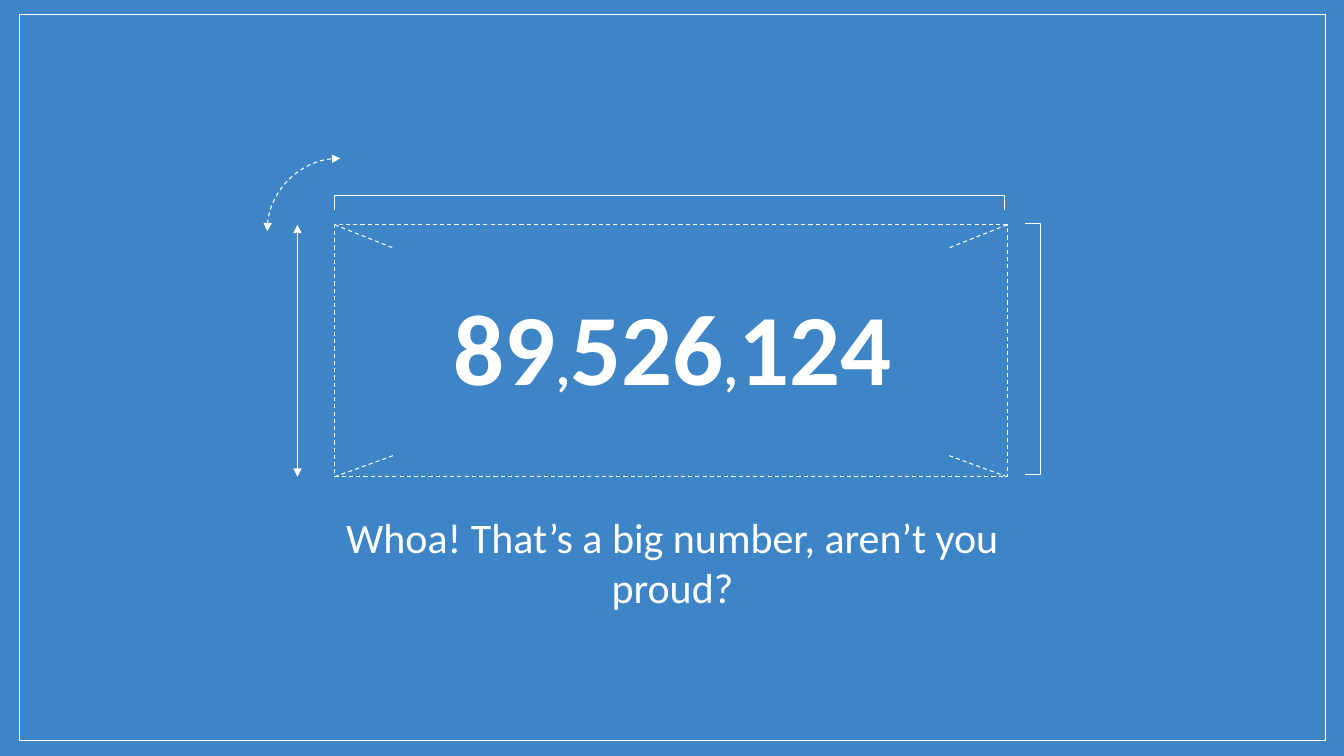
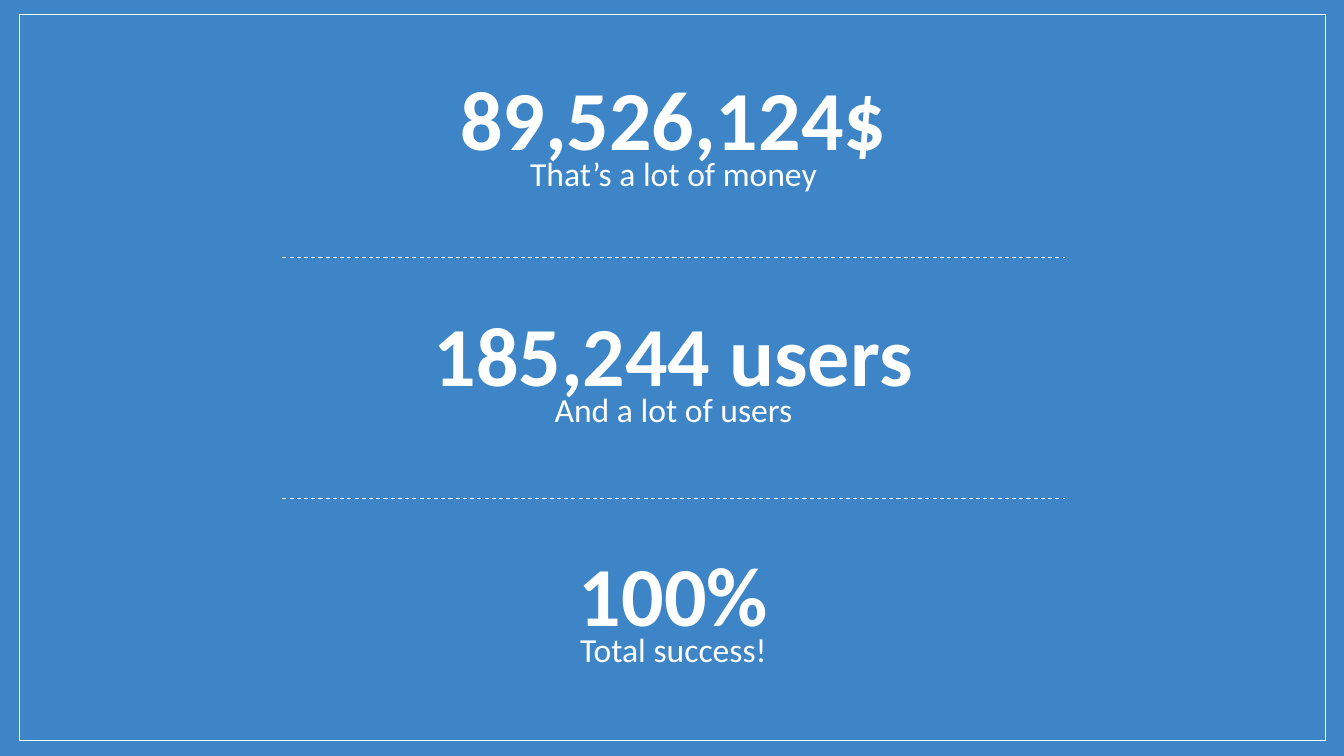
"""Build two big-number slides on a framed blue background."""
import dataclasses
import itertools
import typing

import lxml.etree
import pptx
import pptx.dml.color
import pptx.enum.dml
import pptx.enum.shapes
import pptx.enum.text
import pptx.oxml.ns
import pptx.slide
import pptx.util

Inches = pptx.util.Inches
SHAPE = pptx.enum.shapes.MSO_SHAPE
DASH = {"dash_style": pptx.enum.dml.MSO_LINE.DASH}
SOLID: dict = {}
BLUE, WHITE = "3D85C6", "FFFFFF"
FONT = "Calibri"
Point = tuple[float, float]


@dataclasses.dataclass(frozen=True)
class Box:
    """A rectangle in inches."""
    left: float
    top: float
    width: float
    height: float

    @property
    def right(self) -> float:
        return self.left + self.width

    @property
    def bottom(self) -> float:
        return self.top + self.height

    def lengths(self) -> list[pptx.util.Length]:
        return [Inches(v) for v in (self.left, self.top, self.width, self.height)]


class Run(typing.NamedTuple):
    """A piece of text with its size in points."""
    text: str
    size: float


class Stat(typing.NamedTuple):
    """A large figure, its caption and the top of the pair."""
    figure: str
    caption: str
    top: float


FRAME = Box(0.19, 0.14, 12.96, 7.21)
PANEL = Box(3.32, 2.23, 6.67, 2.5)
STATS = [
    Stat("89,526,124$", "That’s a lot of money", 0.56),
    Stat("185,244 users", "And a lot of users", 2.9),
    Stat("100%", "Total success!", 5.28),
]
STAT_LEFT, STAT_WIDTH = 2.8, 7.76
DIVIDERS = [2.55, 4.95]


def rgb(value: str) -> pptx.dml.color.RGBColor:
    """Turn a hex string into a colour."""
    return pptx.dml.color.RGBColor.from_string(value)


def apply(target: typing.Any, values: dict) -> None:
    """Set each named attribute on the target."""
    for name, value in values.items():
        setattr(target, name, value)


def style_line(line: typing.Any, dash: dict, arrows: bool = False) -> None:
    """Give a line its colour, width, dash and arrowheads."""
    line.fill.solid()
    line.fill.fore_color.rgb = rgb(WHITE)
    apply(line, {"width": pptx.util.Pt(0.75), **dash})
    if arrows:
        ln = line._get_or_add_ln()
        for tag in ("a:headEnd", "a:tailEnd"):
            lxml.etree.SubElement(ln, pptx.oxml.ns.qn(tag), type="triangle")


def style_outline(sp: typing.Any, dash: dict, arrows: bool = False) -> None:
    """Leave a shape with only its outline."""
    sp.shadow.inherit = False
    sp.fill.background()
    style_line(sp.line, dash, arrows)


def add_outline(s: pptx.slide.Slide, kind: SHAPE, box: Box, dash: dict,
                rotation: float = 0, arrows: bool = False) -> None:
    """Draw an unfilled preset shape."""
    sp = s.shapes.add_shape(kind, *box.lengths())
    sp.rotation = rotation
    style_outline(sp, dash, arrows)


def add_bracket(s: pptx.slide.Slide, points: list[Point]) -> None:
    """Draw an open outline through the points."""
    start, *rest = [(Inches(x), Inches(y)) for x, y in points]
    builder = s.shapes.build_freeform(*start)
    builder.add_line_segments(rest, close=False)
    style_outline(builder.convert_to_shape(), SOLID)


def add_line(s: pptx.slide.Slide, start: Point, end: Point, dash: dict,
             arrows: bool = False) -> None:
    """Draw a straight line without a shadow."""
    sp = s.shapes.add_connector(pptx.enum.shapes.MSO_CONNECTOR.STRAIGHT,
                                *[Inches(v) for v in start + end])
    style_line(sp.line, dash, arrows)
    lxml.etree.SubElement(sp._element.spPr, pptx.oxml.ns.qn("a:effectLst"))


def add_text(s: pptx.slide.Slide, box: Box, runs: list[Run], bold: bool = False) -> None:
    """Write one centred paragraph."""
    tf = s.shapes.add_textbox(*box.lengths()).text_frame
    sides = ("left", "top", "right", "bottom")
    apply(tf, {"word_wrap": True, "vertical_anchor": pptx.enum.text.MSO_ANCHOR.TOP,
               **{f"margin_{side}": Inches(0.1) for side in sides}})
    p = tf.paragraphs[0]
    p.alignment = pptx.enum.text.PP_ALIGN.CENTER
    for run in runs:
        r = p.add_run()
        r.text = run.text
        apply(r.font, {"name": FONT, "size": pptx.util.Pt(run.size), "bold": bold})
        r.font.color.rgb = rgb(WHITE)


def add_slide(prs: typing.Any) -> pptx.slide.Slide:
    """Add a blank slide with the blue background and the frame."""
    s = prs.slides.add_slide(prs.slide_layouts[6])
    s.background.fill.solid()
    s.background.fill.fore_color.rgb = rgb(BLUE)
    add_outline(s, SHAPE.RECTANGLE, FRAME, SOLID)
    return s


def build_big_number(prs: typing.Any) -> None:
    """Show one number inside a measured panel."""
    s = add_slide(prs)
    add_text(s, Box(3.21, 4.97, 6.92, 1.14),
             [Run("Whoa! That’s a big number, aren’t you proud?", 30)])
    add_outline(s, SHAPE.RECTANGLE, PANEL, DASH)
    add_bracket(s, [(10.17, 2.22), (10.32, 2.22), (10.32, 4.71), (10.17, 4.71)])
    add_bracket(s, [(3.32, 2.08), (3.32, 1.94), (9.96, 1.94), (9.96, 2.08)])
    add_outline(s, SHAPE.ARC, Box(2.65, 1.57, 1.45, 1.45), DASH, 270, True)
    add_line(s, (2.95, PANEL.top), (2.95, PANEL.bottom), SOLID, True)
    columns = [(PANEL.left, 0.58), (PANEL.right, -0.58)]
    rows = [(PANEL.top, 0.23), (PANEL.bottom, -0.21)]
    for (x, dx), (y, dy) in itertools.product(columns, rows):
        add_line(s, (x, y), (x + dx, y + dy), DASH)
    add_text(s, Box(2.42, 2.72, 8.5, 1.69),
             [Run("89", 72), Run(",", 40), Run("526", 72), Run(",", 40), Run("124", 72)],
             bold=True)


def build_stats(prs: typing.Any) -> None:
    """Stack three captioned figures between dividers."""
    s = add_slide(prs)
    for stat in STATS:
        add_text(s, Box(STAT_LEFT, stat.top, STAT_WIDTH, 1.31),
                 [Run(stat.figure, 60)], bold=True)
        add_text(s, Box(STAT_LEFT, stat.top + 0.86, STAT_WIDTH, 0.68),
                 [Run(stat.caption, 24)])
    for y in DIVIDERS:
        add_line(s, (STAT_LEFT, y), (STAT_LEFT + STAT_WIDTH, y), DASH)


def main() -> None:
    """Build and save the presentation."""
    prs = pptx.Presentation()
    apply(prs, {"slide_width": Inches(13.33), "slide_height": Inches(7.5)})
    build_big_number(prs)
    build_stats(prs)
    prs.save("out.pptx")


if __name__ == "__main__":
    main()
